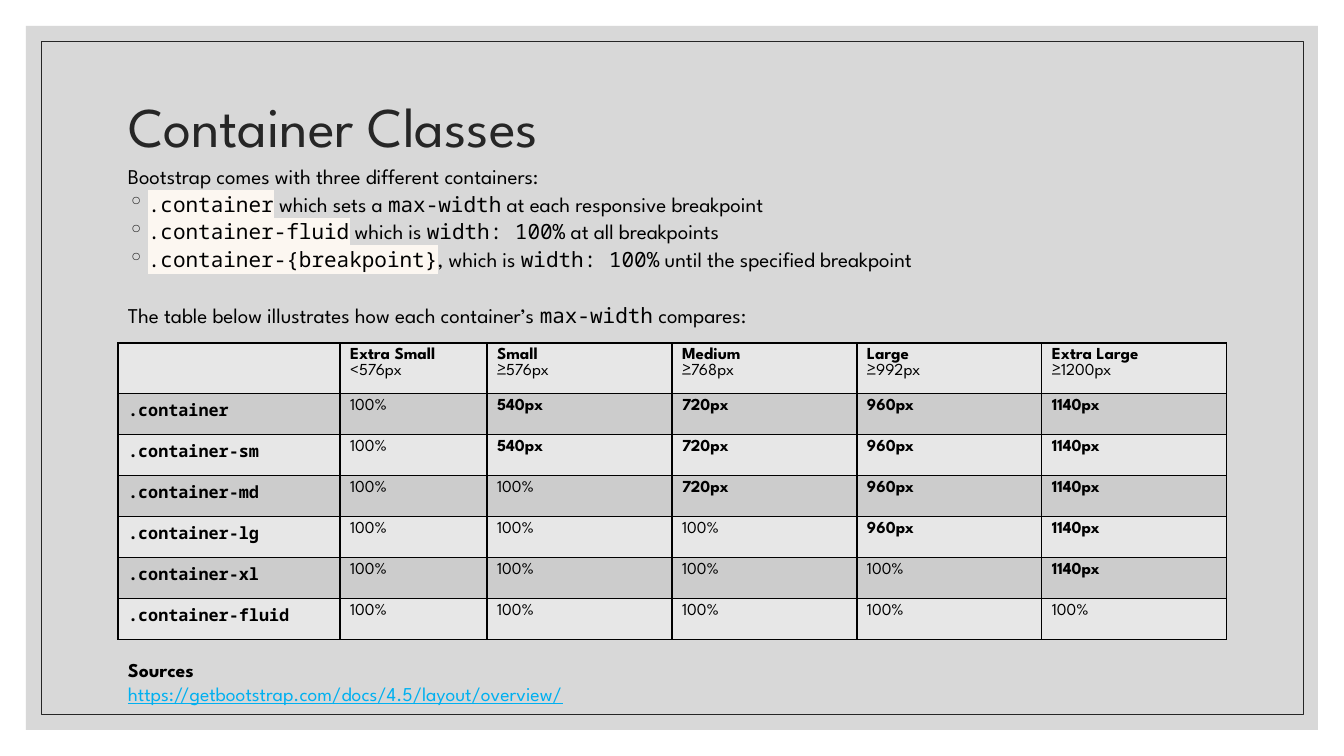
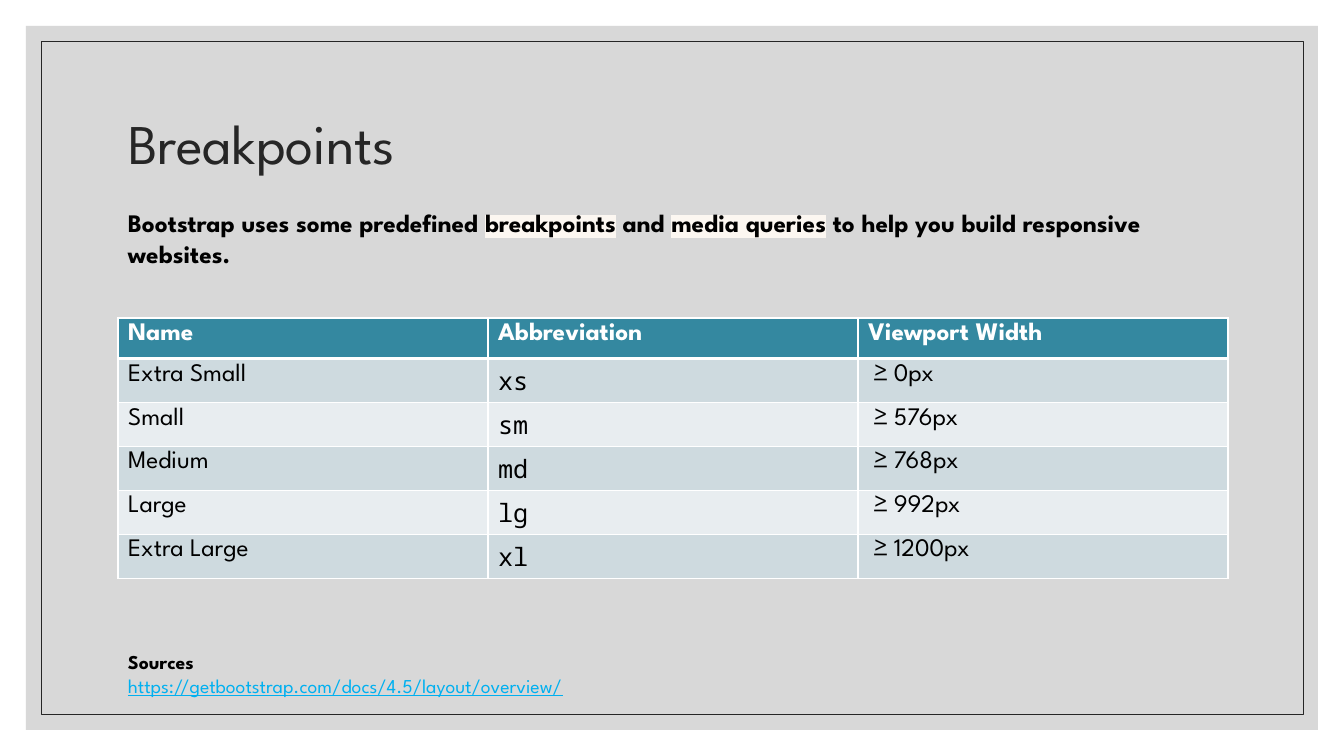
import lxml.etree
import pptx
import pptx.dml.color
import pptx.enum.shapes
import pptx.enum.text
import pptx.oxml.ns
import pptx.util

PX = 12192000 / 1344
SANS, MONO = "League Spartan", "Noto Sans Mono"
LEFT, WIDTH = 118, 1109
SOURCE = "https://getbootstrap.com/docs/4.5/layout/overview/"
COLORS = {
    "band": "BFBFBF", "ink": "262626", "black": "000000", "white": "FFFFFF",
    "link": "00B0F0", "mark": "FCF7F1", "header": "3488A0",
    "gray light": "E7E7E7", "gray dark": "CCCCCC",
    "blue light": "E8EDF0", "blue dark": "CEDADF",
}
qn = pptx.oxml.ns.qn
Pt = pptx.util.Pt


def px(*lengths):
    return [pptx.util.Emu(round(length * PX)) for length in lengths]


def add_spans(para, size, spans):
    """Add (text, style words) runs; words are code, bold, mark, break or a colour."""
    for text, style in spans:
        words = style.split()
        span = para.add_run()
        span.text = text
        span.font.size = Pt(size)
        span.font.name = MONO if "code" in words else SANS
        span.font.bold = "bold" in words
        color = next((word for word in words if word in ("ink", "white", "link")), "black")
        span.font.color.rgb = pptx.dml.color.RGBColor.from_string(COLORS[color])
        if color == "link":
            span.font.underline = True
        if "mark" in words:
            highlight = lxml.etree.Element(qn("a:highlight"))
            lxml.etree.SubElement(highlight, qn("a:srgbClr"), val=COLORS["mark"])
            span.font._element.find(qn("a:solidFill")).addnext(highlight)
        if "break" in words:
            para.add_line_break()


deck = pptx.Presentation()
deck.slide_width, deck.slide_height = px(1344, 756)
layout = deck.slide_layouts[5]

# Every slide: title, introduction and sources
intro_lines = [
    [("Bootstrap comes with three different containers:", "")],
    [(".container", "code mark"), (" which sets a ", ""), ("max-width", "code"),
     (" at each responsive breakpoint", "")],
    [(".container-fluid", "code mark"), (" which is ", ""), ("width: 100%", "code"),
     (" at all breakpoints", "")],
    [(".container-{breakpoint}", "code mark"), (", which is ", ""), ("width: 100%", "code"),
     (" until the specified breakpoint", "")],
    [("The table below illustrates how each container’s ", ""), ("max-width", "code"),
     (" compares:", "")],
]
breakpoint_lines = [
    [("Bootstrap uses some predefined ", "bold"), ("breakpoints", "bold mark"),
     (" and ", "bold"), ("media queries", "bold mark"),
     (" to help you build responsive websites.", "bold")],
]
source_lines = [[("Sources", "bold")], [(SOURCE, "link")]]

# Table contents, one list of spans per cell
screens = [("Extra Small", "<576px"), ("Small", "≥576px"), ("Medium", "≥768px"),
           ("Large", "≥992px"), ("Extra Large", "≥1200px")]
limits = ["540px", "720px", "960px", "1140px"]
fluid_columns = {"": 1, "-sm": 1, "-md": 2, "-lg": 3, "-xl": 4, "-fluid": 5}
container_rows = [[[]] + [[(name, "bold break"), (width, "")] for name, width in screens]]
for suffix, count in fluid_columns.items():
    container_rows.append(
        [[(".container" + suffix, "code bold")]]
        + [[("100%", "")]] * count
        + [[(limit, "bold")] for limit in limits[count - 1:]])

breakpoint_rows = [[[(label, "bold white")] for label in ("Name", "Abbreviation", "Viewport Width")]]
for name, short, width in [("Extra Small", "xs", "≥ 0px"), ("Small", "sm", "≥ 576px"),
                           ("Medium", "md", "≥ 768px"), ("Large", "lg", "≥ 992px"),
                           ("Extra Large", "xl", "≥ 1200px")]:
    breakpoint_rows.append([[(name, "")], [(short, "code")], [(width, "")]])

slides = [
    {"title": "Container Classes", "title top": 54,
     "texts": [(156, 179, 15, 19.8, intro_lines), (653, 57, 14, 17, source_lines)],
     "rows": container_rows, "top": 343, "widths": [222, 147] + [185] * 4,
     "heights": [50] + [41] * 6, "size": 12, "line": "black", "header line": 1,
     "fills": ["gray light", "gray dark"], "header": "gray light", "last indent": 10},
    {"title": "Breakpoints", "title top": 71,
     "texts": [(202, 72, 18, 22, breakpoint_lines), (645, 57, 14, 17, source_lines)],
     "rows": breakpoint_rows, "top": 318, "widths": [370] * 3,
     "heights": [33] + [44] * 5, "size": 18, "line": "white", "header line": 3,
     "fills": ["blue light", "blue dark"], "header": "header", "last indent": 16},
]

for number, content in enumerate(slides):
    page = deck.slides.add_slide(layout)

    # The band and its thin frame move to the layout, which all slides share
    if number == 0:
        for index, (inset, width, height) in enumerate([(26, 1292, 704), (41, 1262, 673)]):
            panel = page.shapes.add_shape(pptx.enum.shapes.MSO_SHAPE.RECTANGLE,
                                          *px(inset, inset, width, height))
            panel.shadow.inherit = False
            if index == 0:
                panel.fill.solid()
                panel.fill.fore_color.rgb = pptx.dml.color.RGBColor.from_string(COLORS["band"])
                tint = panel.element.spPr.find(qn("a:solidFill")).find(qn("a:srgbClr"))
                lxml.etree.SubElement(tint, qn("a:alpha"), val="60000")
                panel.line.fill.background()
            else:
                panel.fill.background()
                panel.line.color.rgb = pptx.dml.color.RGBColor.from_string(COLORS["ink"])
                panel.line.width = Pt(0.5)
            panel.element.nvSpPr.cNvPr.id = 20 + index
            layout.shapes.element.append(panel.element)

    title = page.shapes.title
    title.left, title.top, title.width, title.height = px(LEFT, content["title top"], WIDTH, 151)
    title.text_frame.auto_size = pptx.enum.text.MSO_AUTO_SIZE.NONE
    title.text_frame.vertical_anchor = pptx.enum.text.MSO_ANCHOR.MIDDLE
    para = title.text_frame.paragraphs[0]
    para.alignment = pptx.enum.text.PP_ALIGN.LEFT
    para.line_spacing = 0.9
    add_spans(para, 40, [(content["title"], "ink")])

    for top, height, size, pitch, lines in content["texts"]:
        box = page.shapes.add_textbox(*px(LEFT, top, WIDTH, height))
        box.text_frame.word_wrap = True
        for index, spans in enumerate(lines):
            para = box.text_frame.paragraphs[0] if index == 0 else box.text_frame.add_paragraph()
            if spans[0][1] == "code mark":
                properties = para._p.get_or_add_pPr()
                indent = px(20)[0]
                properties.set("marL", str(indent))
                properties.set("indent", str(-indent))
                bullet_color = lxml.etree.SubElement(properties, qn("a:buClr"))
                lxml.etree.SubElement(bullet_color, qn("a:srgbClr"), val=COLORS["ink"])
                lxml.etree.SubElement(properties, qn("a:buChar"), char="◦")
            para.line_spacing = Pt(pitch)
            if index == 4:
                para.space_before = Pt(pitch)
            add_spans(para, size, spans)

    rows, widths, heights = content["rows"], content["widths"], content["heights"]
    table = page.shapes.add_table(
        len(rows), len(widths),
        *px(LEFT, content["top"], sum(widths), sum(heights))).table
    table.first_row = table.horz_banding = False
    for column, width in zip(table.columns, widths):
        column.width = px(width)[0]
    for index, (row, height) in enumerate(zip(table.rows, heights)):
        row.height = px(height)[0]
        fill = content["header"] if index == 0 else content["fills"][index % 2]
        weights = {"L": 1, "R": 1,
                   "T": content["header line"] if index == 1 else 1,
                   "B": content["header line"] if index == 0 else 1}
        for cell, spans in zip(row.cells, rows[index]):
            add_spans(cell.text_frame.paragraphs[0], content["size"], spans)
            cell.fill.solid()
            cell.fill.fore_color.rgb = pptx.dml.color.RGBColor.from_string(COLORS[fill])
            properties = cell._tc.get_or_add_tcPr()
            for position, (side, weight) in enumerate(weights.items()):
                border = lxml.etree.Element(qn("a:ln" + side), w=str(Pt(weight)))
                paint = lxml.etree.SubElement(border, qn("a:solidFill"))
                lxml.etree.SubElement(paint, qn("a:srgbClr"), val=COLORS[content["line"]])
                properties.insert(position, border)
        if index > 0:
            cell.margin_left = px(content["last indent"])[0]

deck.save("out.pptx")
